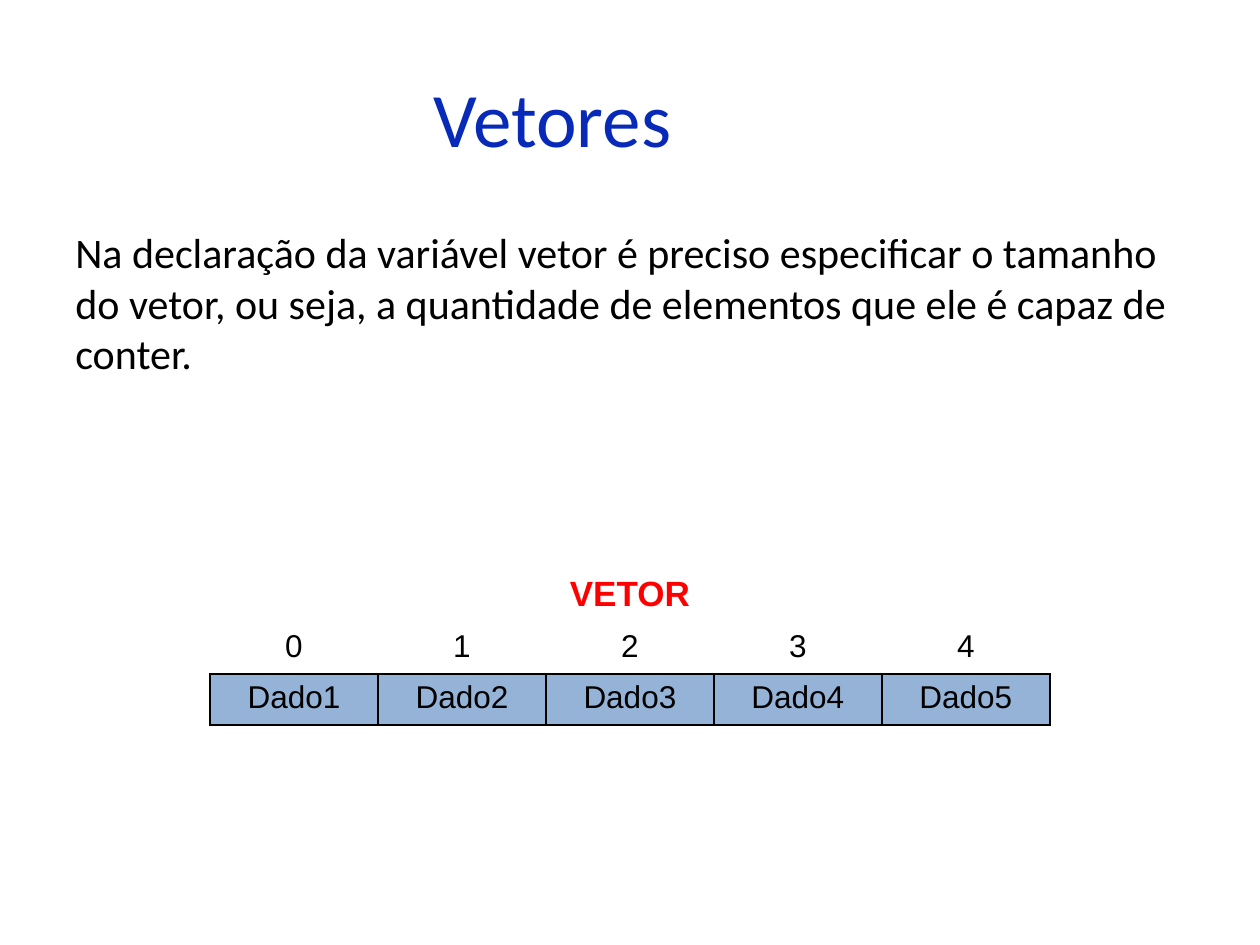
"""Build the slide on declaring vectors, with an indexed five-element vector."""
from dataclasses import dataclass

from lxml import etree
from pptx import Presentation
from pptx.dml.color import RGBColor
from pptx.enum import text
from pptx.oxml import ns
from pptx.util import Pt


@dataclass(frozen=True)
class Theme:
    title_color: str = "082AB8"
    ink: str = "000000"
    accent: str = "FF0000"
    element_fill: str = "95B3D7"
    title_size: int = 44
    body_size: int = 24
    heading_size: int = 20
    cell_size: int = 18
    slide_font: str = "Calibri"
    table_font: str = "Arial"
    plain_table: str = "{2D5ABB26-0587-4C30-8999-92F81FD0307C}"


THEME = Theme()
CENTER = text.PP_ALIGN.CENTER
ELEMENTS = ["Dado1", "Dado2", "Dado3", "Dado4", "Dado5"]


def write(frame, words, font_name, size, color, align=None, bold=False):
    frame.text = words
    paragraph = frame.paragraphs[0]
    paragraph.alignment = align
    for run in paragraph.runs:
        run.font.name = font_name
        run.font.size = Pt(size)
        run.font.bold = bold
        run.font.color.rgb = RGBColor.from_string(color)


def add_text(slide, bounds, words, size, color, align=None,
             anchor=text.MSO_ANCHOR.TOP):
    frame = slide.shapes.add_textbox(*map(Pt, bounds)).text_frame
    frame.word_wrap = True
    frame.vertical_anchor = anchor
    write(frame, words, THEME.slide_font, size, color, align)


def outline(cell):
    properties = cell._tc.get_or_add_tcPr()
    for position, side in enumerate(("lnL", "lnR", "lnT", "lnB")):
        line = etree.Element(ns.qn(f"a:{side}"), w=str(Pt(1)))
        fill = etree.SubElement(line, ns.qn("a:solidFill"))
        etree.SubElement(fill, ns.qn("a:srgbClr"), val=THEME.ink)
        properties.insert(position, line)


def add_vector(slide, bounds, heading, elements):
    frame = slide.shapes.add_table(3, len(elements), *map(Pt, bounds))
    vector = frame.table
    vector.first_row = vector.horz_banding = False
    vector._tbl.tblPr.find(ns.qn("a:tableStyleId")).text = THEME.plain_table
    title_cell = vector.cell(0, 0)
    title_cell.merge(vector.cell(0, len(elements) - 1))
    write(title_cell.text_frame, heading, THEME.table_font,
          THEME.heading_size, THEME.accent, CENTER, bold=True)
    for index, element in enumerate(elements):
        for row, words in ((1, str(index)), (2, element)):
            write(vector.cell(row, index).text_frame, words,
                  THEME.table_font, THEME.cell_size, THEME.ink, CENTER)
        element_cell = vector.cell(2, index)
        element_cell.fill.solid()
        element_cell.fill.fore_color.rgb = RGBColor.from_string(
            THEME.element_fill)
        outline(element_cell)


def main():
    deck = Presentation()
    deck.slide_width, deck.slide_height = Pt(720), Pt(540)
    slide = deck.slides.add_slide(deck.slide_layouts[6])
    add_text(slide, (36, 21.6, 549.4, 90), " Vetores", THEME.title_size,
             THEME.title_color, CENTER, text.MSO_ANCHOR.MIDDLE)
    add_text(slide, (36, 126, 648, 356.4),
             "Na declaração da variável vetor é preciso especificar o tamanho "
             "do vetor, ou seja, a quantidade de elementos que ele é capaz de "
             "conter.", THEME.body_size, THEME.ink)
    add_vector(slide, (120, 324.6, 480, 87.6), "VETOR", ELEMENTS)
    deck.save("out.pptx")


if __name__ == "__main__":
    main()
